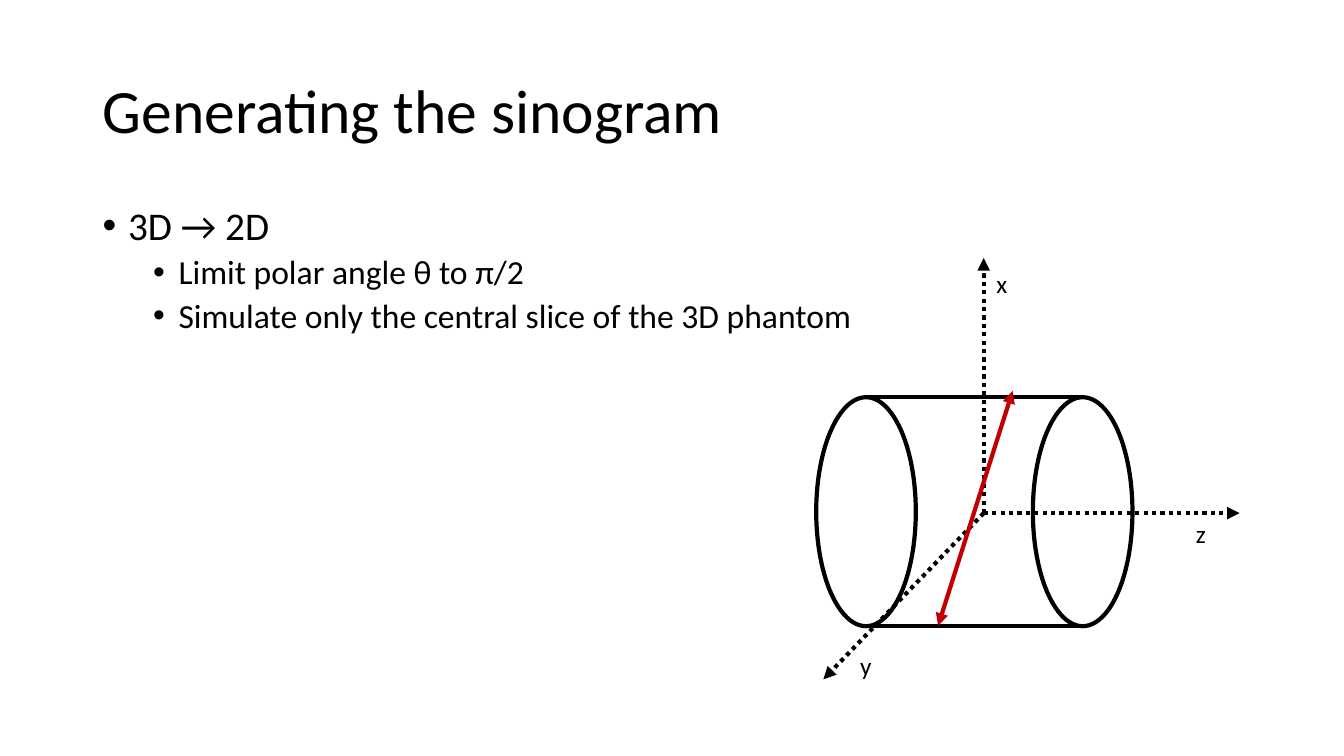
from lxml import etree
from pptx import Presentation
from pptx import util as u
from pptx.dml.color import RGBColor
from pptx.enum import dml, shapes, text
from pptx.oxml import ns

COLOURS = {"ink": "000000", "ray": "C00000"}
FONT = "Calibri"


def colour(name):
    """Return a named colour."""
    return RGBColor.from_string(COLOURS[name])


def set_values(target, values):
    """Set each attribute of the target from a dict."""
    for name, value in values.items():
        setattr(target, name, value)


def add_element(parent, tag, **attributes):
    """Append a DrawingML element to its parent."""
    return etree.SubElement(parent, ns.qn(tag), attributes)


def add_text(slide, box, lines, **frame_values):
    """Place a text box with lines of (wording, size, level, paragraph values)."""
    frame = slide.shapes.add_textbox(*map(u.Cm, box)).text_frame
    set_values(frame, {"word_wrap": True, **frame_values})
    for index, (wording, size, level, values) in enumerate(lines):
        para = frame.add_paragraph() if index else frame.paragraphs[0]
        set_values(para, values)
        if level is not None:
            properties = para._p.get_or_add_pPr()
            properties.set("marL", str(u.Cm(0.64 + 1.27 * level)))
            properties.set("indent", str(u.Cm(-0.64)))
            add_element(properties, "a:buFont", typeface="Arial")
            add_element(properties, "a:buChar", char="•")
        span = para.add_run()
        span.text = wording
        set_values(span.font, {"name": FONT, "size": u.Pt(size)})
        span.font.color.rgb = colour("ink")


def add_line(slide, start, end, ends=(), dash=None, ink="ink"):
    """Draw a straight line with optional dash and arrowheads."""
    line = slide.shapes.add_connector(
        shapes.MSO_CONNECTOR.STRAIGHT, *map(u.Cm, (*start, *end)))
    line.line.color.rgb = colour(ink)
    set_values(line.line, {"width": u.Pt(3), "dash_style": dash})
    for tag in ends:
        add_element(line.line._get_or_add_ln(), tag, type="triangle")
    add_element(line._element.spPr, "a:effectLst")


def add_title(slide, box):
    """Place the slide title."""
    add_text(slide, box, [("Generating the sinogram", 44, None, {"line_spacing": 0.9})],
             vertical_anchor=text.MSO_ANCHOR.MIDDLE)


def add_body(slide, box):
    """Place the bulleted list."""
    main = {"line_spacing": 0.9}
    detail = {"level": 1, "line_spacing": 0.9, "space_before": u.Pt(5)}
    add_text(slide, box, [
        ("3D → 2D", 28, 0, main),
        ("Limit polar angle θ to π/2", 24, 1, detail),
        ("Simulate only the central slice of the 3D phantom", 24, 1, detail),
    ])


def add_cylinder(slide, left, top, width, height, length):
    """Draw two end ellipses joined by two edges."""
    for offset in (0, length):
        end = slide.shapes.add_shape(
            shapes.MSO_SHAPE.OVAL, *map(u.Cm, (left + offset, top, width, height)))
        end.shadow.inherit = False
        end.fill.background()
        end.line.color.rgb = colour("ink")
        end.line.width = u.Pt(3)
    middle = left + width / 2
    for edge in (top, top + height):
        add_line(slide, (middle, edge), (middle + length, edge))


def add_diagram(slide, left, top):
    """Draw the phantom, its axes and one ray from the given corner."""
    def place(x, y):
        """Shift a point into the diagram."""
        return left + x, top + y

    add_cylinder(slide, *place(0, 3.51), width=2.51, height=5.77, length=5.46)
    axes = {
        "y": ((0.18, 10.62), (0.86, 9.75)),
        "x": ((4.22, 0), (4.29, 0.13)),
        "z": ((10.67, 6.43), (9.32, 6.43)),
    }
    for name, (tip, label) in axes.items():
        add_line(slide, place(4.22, 6.43), place(*tip), ["a:tailEnd"],
                 dml.MSO_LINE.ROUND_DOT)
        add_text(slide, (*place(*label), 0.81, 1.02), [(name, 18, None, {})])
    add_line(slide, place(4.95, 3.35), place(3.07, 9.27),
             ["a:headEnd", "a:tailEnd"], ink="ray")


def main():
    """Build and save the deck."""
    deck = Presentation()
    set_values(deck, {"slide_width": u.Cm(33.87), "slide_height": u.Cm(19.05)})
    slide = deck.slides.add_slide(deck.slide_layouts[6])
    add_title(slide, (2.34, 1.02, 29.21, 3.68))
    add_diagram(slide, 20.57, 6.5)
    add_body(slide, (2.34, 5.08, 29.21, 12.09))
    deck.save("out.pptx")


if __name__ == "__main__":
    main()
